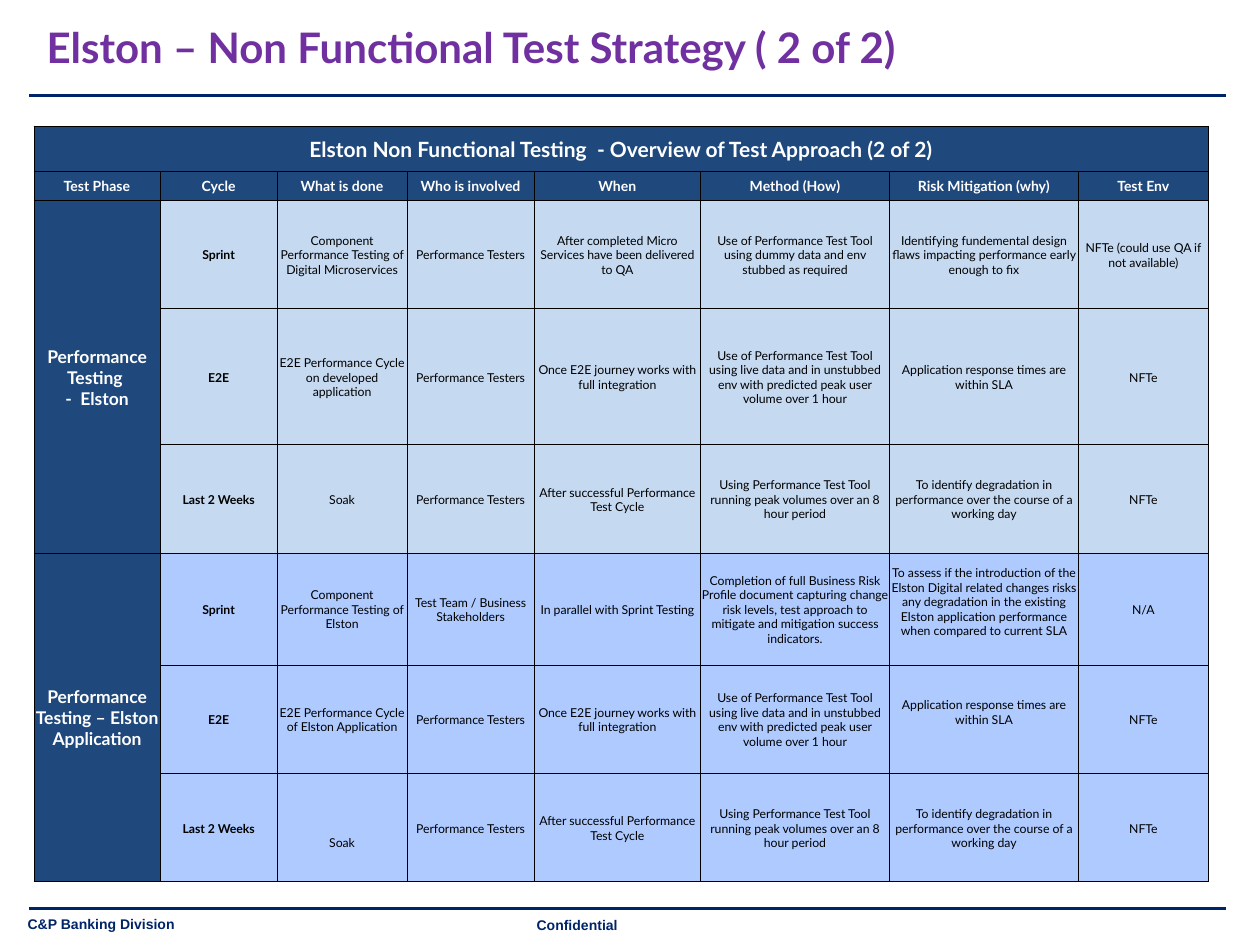
from lxml import etree
from pptx import Presentation
from pptx.dml.color import RGBColor
from pptx.enum.shapes import MSO_CONNECTOR
from pptx.enum.text import MSO_ANCHOR, PP_ALIGN
from pptx.oxml.ns import qn
from pptx.util import Inches, Pt

CENTER, LEFT = PP_ALIGN.CENTER, PP_ALIGN.LEFT
MIDDLE = MSO_ANCHOR.MIDDLE
STRAIGHT = MSO_CONNECTOR.STRAIGHT
NAVY, PURPLE, HEADER_BLUE = "002469", "7030A0", "1F497D"
WHITE, BLACK = "FFFFFF", "000000"

TITLE = "Elston – Non Functional Test Strategy ( 2 of 2)"
FOOTERS = [("C&P Banking Division", 0.12, 7.21), ("Confidential", 4.16, 7.22)]
RULE_HEIGHTS = [0.76, 7.21]

OVERVIEW = "Elston Non Functional Testing  - Overview of Test Approach (2 of 2)"
HEADINGS = ["Test Phase", "Cycle", "What is done", "Who is involved", "When",
            "Method (How)", "Risk Mitigation (why)", "Test Env"]
TESTERS = "Performance Testers"
JOURNEY = "Once E2E journey works with full integration"
AFTER_TEST = "After successful Performance Test Cycle"
LIVE_DATA = ("Use of Performance Test Tool using live data and in unstubbed env "
             "with predicted peak user volume over 1 hour")
PEAK_VOLUMES = "Using Performance Test Tool running peak volumes over an 8 hour period"
RESPONSE_TIMES = "Application response times are within SLA"
DEGRADATION = "To identify degradation in performance over the course of a working day"

PHASES = [
    ("Performance Testing \v-  Elston", "C5D9F1", [
        ["Sprint", "Component Performance Testing of Digital Microservices", TESTERS,
         "After completed Micro Services have been delivered to QA",
         "Use of Performance Test Tool using dummy data and env stubbed as required",
         "Identifying fundemental design flaws impacting performance early enough to fix",
         "NFTe (could use QA if not available)"],
        ["E2E", "E2E Performance Cycle on developed application", TESTERS,
         JOURNEY, LIVE_DATA, RESPONSE_TIMES, "NFTe"],
        ["Last 2 Weeks", "Soak", TESTERS, AFTER_TEST, PEAK_VOLUMES, DEGRADATION, "NFTe"],
    ]),
    ("Performance Testing – Elston Application", "AECAFF", [
        ["Sprint", "Component Performance Testing of Elston",
         "Test Team / Business Stakeholders", "In parallel with Sprint Testing",
         "Completion of full Business Risk Profile document capturing change risk levels, "
         "test approach to mitigate and mitigation success indicators.",
         "To assess if the introduction of the Elston Digital related changes risks any "
         "degradation in the existing Elston application performance when compared to "
         "current SLA", "N/A"],
        ["E2E", "E2E Performance Cycle of Elston Application", TESTERS,
         JOURNEY, LIVE_DATA, RESPONSE_TIMES, "NFTe"],
        ["Last 2 Weeks", "Soak", TESTERS, AFTER_TEST, PEAK_VOLUMES, DEGRADATION, "NFTe"],
    ]),
]
COLUMN_WIDTHS = [1, 0.93, 1.03, 1.01, 1.32, 1.5, 1.5, 1.03]
ROW_HEIGHTS = [0.36, 0.23, 0.86, 1.08, 0.86, 0.89, 0.86, 0.86]
INSETS = {(5, 6): (0.01, 0.12), (6, 6): (0.01, 0.12), (7, 2): (0.24, 0)}


def color(value):
    return RGBColor.from_string(value)


def write(frame, text, size, ink, bold=True, font="Lato", align=LEFT):
    frame.text = text
    frame.word_wrap = True
    for paragraph in frame.paragraphs:
        paragraph.alignment = align
        for run in paragraph.runs:
            run.font.size = Pt(size)
            run.font.bold = bold
            run.font.name = font
            run.font.color.rgb = color(ink)


def add_borders(cell):
    properties = cell._tc.get_or_add_tcPr()
    for position, side in enumerate(("lnL", "lnR", "lnT", "lnB")):
        border = etree.Element(qn(f"a:{side}"), w=str(Pt(0.5)))
        fill = etree.SubElement(border, qn("a:solidFill"))
        etree.SubElement(fill, qn("a:srgbClr"), val=BLACK)
        properties.insert(position, border)


def fill_cell(table, row, column, text, size, fill, ink=WHITE, bold=True):
    cell = table.cell(row, column)
    top, bottom = INSETS.get((row, column), (0.01, 0))
    cell.margin_left = cell.margin_right = Inches(0.01)
    cell.margin_top, cell.margin_bottom = Inches(top), Inches(bottom)
    cell.vertical_anchor = MIDDLE
    cell.fill.solid()
    cell.fill.fore_color.rgb = color(fill)
    write(cell.text_frame, text, size, ink, bold, align=CENTER)


def add_approach_table(slide):
    table = slide.shapes.add_table(
        len(ROW_HEIGHTS), len(COLUMN_WIDTHS), Inches(0.27), Inches(1),
        Inches(sum(COLUMN_WIDTHS)), Inches(sum(ROW_HEIGHTS))).table
    table.horz_banding = False
    for column, width in zip(table.columns, COLUMN_WIDTHS):
        column.width = Inches(width)
    for row, height in zip(table.rows, ROW_HEIGHTS):
        row.height = Inches(height)

    table.cell(0, 0).merge(table.cell(0, len(HEADINGS) - 1))
    fill_cell(table, 0, 0, OVERVIEW, 12, HEADER_BLUE)
    for column, heading in enumerate(HEADINGS):
        fill_cell(table, 1, column, heading, 8, HEADER_BLUE)

    first = 2
    for phase, tint, cycles in PHASES:
        table.cell(first, 0).merge(table.cell(first + len(cycles) - 1, 0))
        fill_cell(table, first, 0, phase, 10, HEADER_BLUE)
        for row, details in enumerate(cycles, first):
            for column, detail in enumerate(details, 1):
                fill_cell(table, row, column, detail, 7, tint, BLACK, column == 1)
        first += len(cycles)

    for cell in table.iter_cells():
        add_borders(cell)


def main():
    deck = Presentation()
    deck.slide_width, deck.slide_height = Inches(10), Inches(7.5)
    slide = deck.slides.add_slide(deck.slide_layouts[5])

    title = slide.shapes.title
    title.left, title.top = Inches(0.27), Inches(0.14)
    title.width, title.height = Inches(7.48), Inches(0.46)
    title.text_frame.vertical_anchor = MIDDLE
    write(title.text_frame, TITLE, 24, PURPLE)

    for height in RULE_HEIGHTS:
        rule = slide.shapes.add_connector(
            STRAIGHT, Inches(0.23), Inches(height), Inches(9.73), Inches(height))
        rule.line.color.rgb = color(NAVY)
        rule.line.width = Pt(1.5)
        etree.SubElement(rule._element.spPr, qn("a:effectLst"))

    for text, left, top in FOOTERS:
        footer = slide.shapes.add_textbox(
            Inches(left), Inches(top), Inches(3.91), Inches(0.24))
        footer.text_frame.vertical_anchor = MIDDLE
        write(footer.text_frame, text, 8, NAVY, font="Arial")

    add_approach_table(slide)
    deck.save("out.pptx")


if __name__ == "__main__":
    main()
